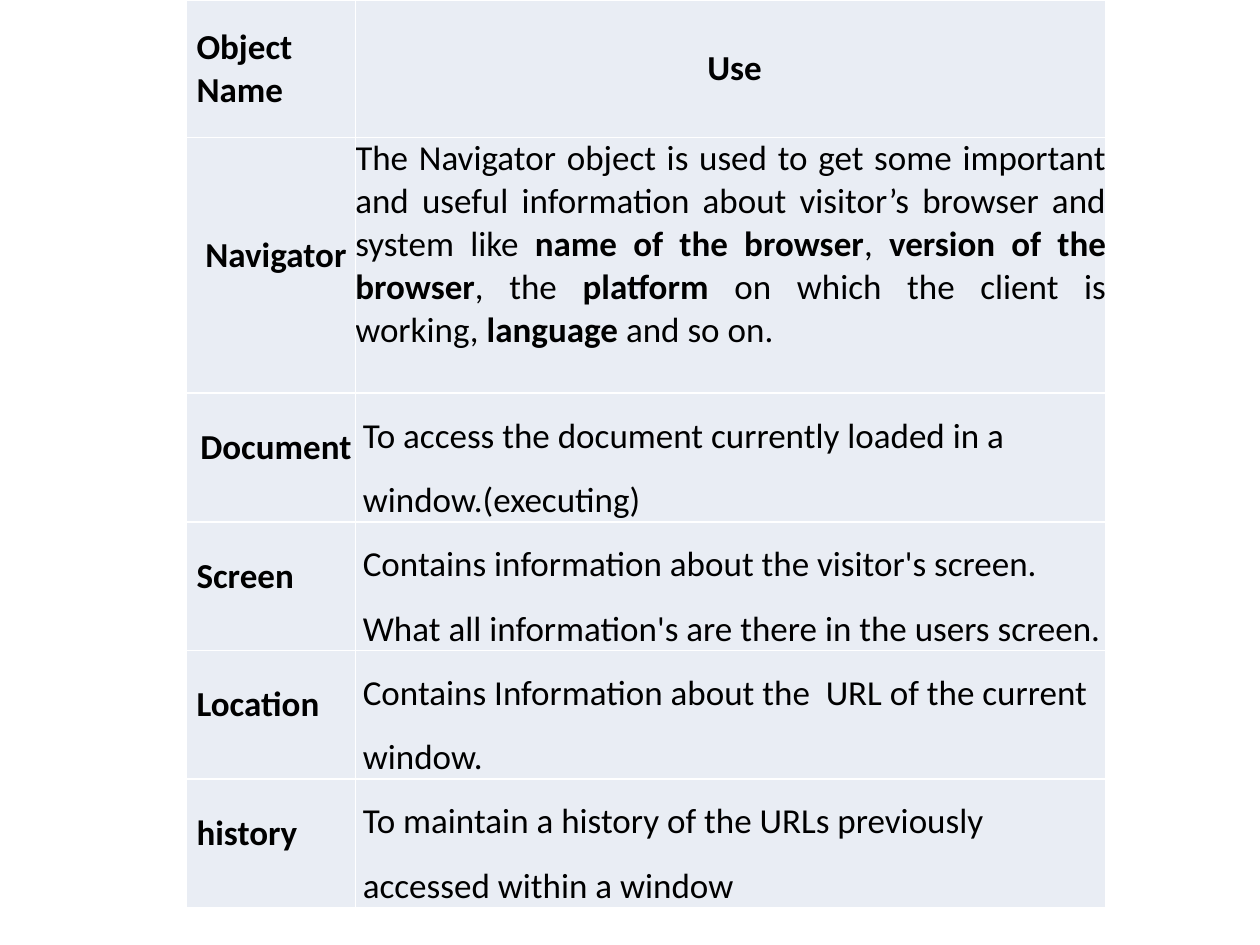
from pptx import Presentation
from pptx.dml.color import RGBColor
from pptx.enum.text import MSO_ANCHOR, PP_ALIGN
from pptx.oxml import parse_xml
from pptx.oxml.ns import nsdecls
from pptx.util import Inches, Pt

COLORS = {"cell": "E9EDF4", "border": "FFFFFF", "text": "000000"}
COLUMN_WIDTHS = [1.34, 5.96]
ROW_HEIGHTS = [1.09, 2.03] + [1.02] * 4
NAME_INDENT, USE_INDENT = 0.08, 0.06

# Each name: text and alignment
NAMES = [
    ("Navigator", PP_ALIGN.CENTER),
    ("Document", PP_ALIGN.CENTER),
    ("Screen", PP_ALIGN.LEFT),
    ("Location", PP_ALIGN.LEFT),
    ("history", PP_ALIGN.LEFT),
]
# Regular and bold pieces alternate, starting with regular
NAVIGATOR_USE = [
    "The Navigator object is used to get some important and useful "
    "information about visitor’s browser and system like ",
    "name of the browser", ", ", "version of the browser", ", the ", "platform",
    " on which the client is working, ", "language", " and so on.",
]
OTHER_USES = [
    "To access the document currently loaded in a window.(executing)",
    "Contains information about the visitor's screen. "
    "What all information's are there in the users screen.",
    "Contains Information about the  URL of the current window.",
    "To maintain a history of the URLs previously accessed within a window",
]


def set_borders(cell):
    properties = cell._tc.get_or_add_tcPr()
    for position, side in enumerate(("lnL", "lnR", "lnT", "lnB")):
        properties.insert(position, parse_xml(
            f'<a:{side} {nsdecls("a")} w="{Pt(1)}"><a:solidFill>'
            f'<a:srgbClr val="{COLORS["border"]}"/></a:solidFill></a:{side}>'))


def format_cell(cell):
    cell.margin_left = cell.margin_right = cell.margin_top = cell.margin_bottom = 0
    cell.vertical_anchor = MSO_ANCHOR.MIDDLE
    cell.fill.solid()
    cell.fill.fore_color.rgb = RGBColor.from_string(COLORS["cell"])
    set_borders(cell)


def write_cell(cell, pieces, bold=False, align=PP_ALIGN.LEFT, indent=0, spacing=None):
    """Write pieces of text, switching weight from one piece to the next."""
    paragraph = cell.text_frame.paragraphs[0]
    paragraph.alignment = align
    paragraph.line_spacing = spacing
    paragraph._p.get_or_add_pPr().set("marL", str(Inches(indent)))
    for index, piece in enumerate(pieces):
        run = paragraph.add_run()
        run.text = piece
        run.font.name = "Calibri"
        run.font.size = Pt(20)
        run.font.bold = bold != (index % 2 == 1)
        run.font.color.rgb = RGBColor.from_string(COLORS["text"])


def add_object_table(slide, left, top, width, height):
    frame = slide.shapes.add_table(
        len(ROW_HEIGHTS), len(COLUMN_WIDTHS),
        Inches(left), Inches(top), Inches(width), Inches(height))
    table = frame.table
    for column, column_width in zip(table.columns, COLUMN_WIDTHS):
        column.width = Inches(column_width)
    for row, row_height in zip(table.rows, ROW_HEIGHTS):
        row.height = Inches(row_height)
    for cell in table.iter_cells():
        format_cell(cell)

    # Header row
    write_cell(table.cell(0, 0), ["Object Name"], bold=True, indent=NAME_INDENT)
    write_cell(table.cell(0, 1), ["Use"], bold=True, align=PP_ALIGN.CENTER,
               indent=USE_INDENT)

    # Object names
    for row, (name, align) in enumerate(NAMES, start=1):
        write_cell(table.cell(row, 0), [name], bold=True, align=align,
                   indent=NAME_INDENT, spacing=Pt(13.2))

    # Uses, with room for one more line below the first
    write_cell(table.cell(1, 1), NAVIGATOR_USE, align=PP_ALIGN.JUSTIFY)
    table.cell(1, 1).margin_bottom = Inches(0.33)
    for row, use in enumerate(OTHER_USES, start=2):
        write_cell(table.cell(row, 1), [use], indent=USE_INDENT, spacing=1.5)


def main():
    presentation = Presentation()
    presentation.slide_width = Inches(10)
    presentation.slide_height = Inches(7.5)
    slide = presentation.slides.add_slide(presentation.slide_layouts[6])
    add_object_table(slide, 1.48, 0, sum(COLUMN_WIDTHS), sum(ROW_HEIGHTS))
    presentation.save("out.pptx")


if __name__ == "__main__":
    main()
